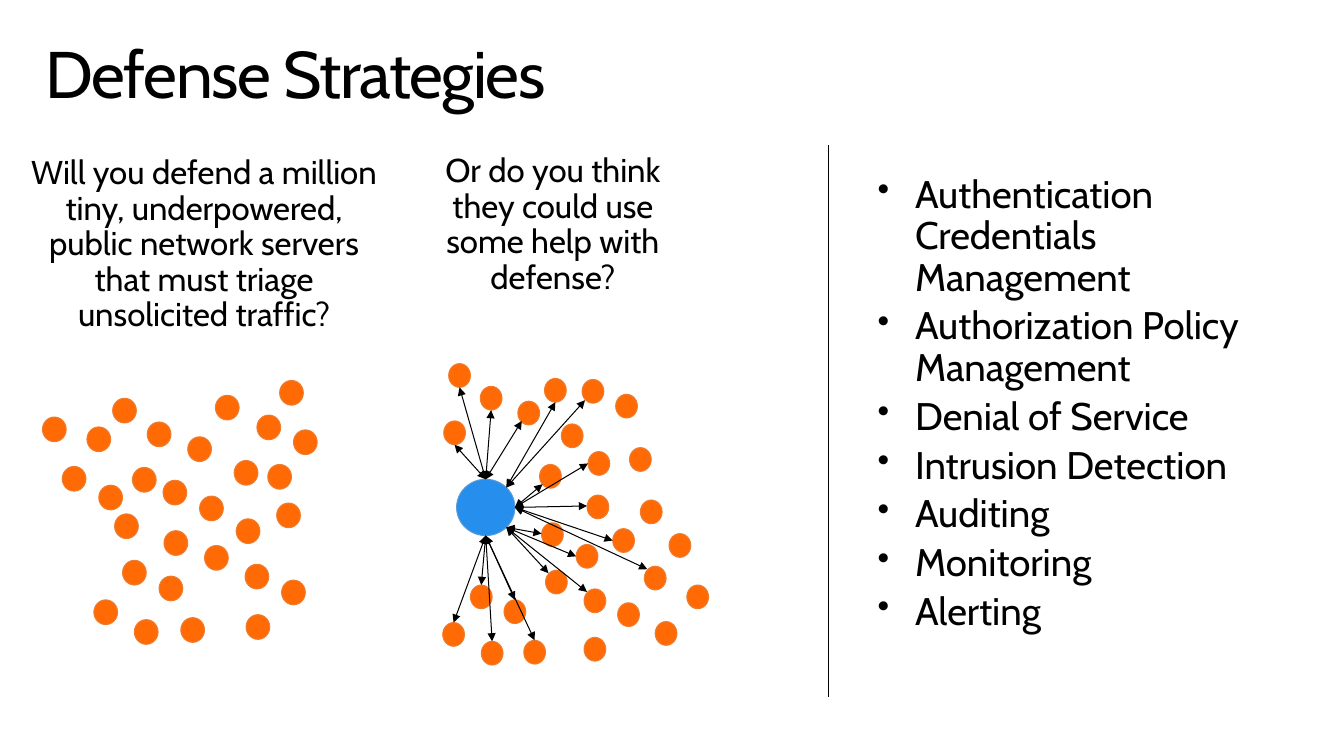
from math import cos, radians, sin
from typing import NamedTuple

from lxml import etree
from pptx import Presentation
from pptx import util as u
from pptx.dml.color import RGBColor
from pptx.enum import shapes, text
from pptx.oxml import ns

COLOURS = {"ink": "000000", "server": "FF6A05", "server edge": "ED7D31",
           "hub": "268FEE", "hub edge": "5B9BD5"}
FONT = "Cabin"
LINE_WIDTH = u.Pt(0.75)


class Disc(NamedTuple):
    left: float
    top: float
    width: float
    height: float
    kind: str = "server"


class Block(NamedTuple):
    left: float
    top: float
    width: float
    height: float
    lines: list[str]
    size: float
    inset: tuple[float, float]
    align: text.PP_ALIGN = text.PP_ALIGN.LEFT
    grows: bool = True
    bulleted: bool = False
    before: float = 0
    after: float = 0
    tracking: int = 0


class Line(NamedTuple):
    start: tuple[float, float]
    end: tuple[float, float]
    arrows: bool = False


TITLE = Block(0.3, 0.32, 13, 1, ["Defense Strategies"], 48, (0.16, 0.1),
              grows=False, tracking=-100)
TOPICS = Block(8.72, 1.67, 4.59, 5.01, [
    "Authentication Credentials Management", "Authorization Policy Management",
    "Denial of Service", "Intrusion Detection", "Auditing", "Monitoring", "Alerting",
], 28, (0.16, 0.1), bulleted=True, before=5.3)
QUESTIONS = [
    Block(0.11, 1.42, 3.91, 2.14,
          ["Will you defend a million tiny, underpowered, public network servers "
           "that must triage unsolicited traffic?"],
          24, (0.2, 0.16), text.PP_ALIGN.CENTER, after=6),
    Block(4.06, 1.4, 3.07, 1.78,
          ["Or do you think they could use some help with defense?"],
          24, (0.2, 0.16), text.PP_ALIGN.CENTER, after=6),
]

# Top left corners of the servers
LONE_SERVERS = [
    (0.43, 4.22), (0.63, 4.72), (1.14, 4.03), (1.49, 4.27), (1.34, 4.73), (1.65, 4.86),
    (0.88, 4.32), (1, 4.91), (1.9, 4.42), (2.02, 5.02), (1.66, 5.37), (2.83, 3.85),
    (2.18, 4), (2.6, 4.2), (2.71, 4.7), (2.97, 4.35), (2.37, 4.66), (2.39, 5.25),
    (2.07, 5.52), (2.48, 5.71), (2.8, 5.09), (2.85, 5.87), (2.49, 6.22), (1.24, 5.67),
    (0.95, 6.07), (1.36, 6.27), (1.61, 5.83), (1.83, 6.25), (1.16, 5.2),
]
HELPED_SERVERS = [
    (6.52, 5.73), (6.95, 5.92), (4.54, 3.68), (4.86, 3.91), (5.95, 4.57), (5.94, 5.01),
    (6.48, 5.06), (6.77, 5.4), (5.24, 4.06), (5.48, 5.29), (5.46, 4.7), (6.37, 4.53),
    (5.51, 3.83), (5.89, 3.84), (6.63, 6.29), (6.23, 3.99), (5.68, 4.29), (5.83, 5.51),
    (5.52, 5.77), (5.91, 5.96), (6.2, 5.35), (6.25, 6.1), (5.91, 6.45), (4.76, 5.92),
    (4.48, 6.3), (4.87, 6.49), (5.1, 6.07), (5.3, 6.48), (4.49, 4.26),
]
HUB = Disc(4.62, 4.85, 0.59, 0.57, "hub")

# Server ends of the arrows, by the angle at which they meet the hub
ARROWS = {
    -90: [(4.6, 4.5), (4.65, 3.92), (4.97, 4.15), (5.28, 4.26)],
    -45: [(5.62, 4.07), (5.92, 4.05)],
    0: [(5.49, 4.9), (5.94, 5.12), (5.95, 4.69), (6.2, 5.47), (6.55, 5.76)],
    45: [(5.55, 5.8), (5.48, 5.4), (5.83, 5.63), (5.94, 5.99)],
    90: [(4.87, 5.92), (5.21, 6.07), (4.59, 6.3), (4.98, 6.49), (5.41, 6.48)],
}


def colour(name: str) -> RGBColor:
    return RGBColor.from_string(COLOURS[name])


def hub_point(angle: float) -> tuple[float, float]:
    return (HUB.left + HUB.width / 2 * (1 + cos(radians(angle))),
            HUB.top + HUB.height / 2 * (1 + sin(radians(angle))))


def add_block(page, block: Block) -> None:
    box = page.shapes.add_textbox(*map(u.Inches, block[:4]))
    frame = box.text_frame
    frame.text = "\n".join(block.lines)
    frame.word_wrap = True
    fit = text.MSO_AUTO_SIZE
    frame.auto_size = fit.SHAPE_TO_FIT_TEXT if block.grows else fit.NONE
    frame.margin_left = frame.margin_right = u.Inches(block.inset[0])
    frame.margin_top = frame.margin_bottom = u.Inches(block.inset[1])
    for index, para in enumerate(frame.paragraphs):
        if block.bulleted:
            add_bullet(para)
        para.alignment = block.align
        para.line_spacing = 0.9
        if index and block.before:
            para.space_before = u.Pt(block.before)
        if block.after:
            para.space_after = u.Pt(block.after)
        for span in para.runs:
            span.font.name = FONT
            span.font.size = u.Pt(block.size)
            span.font.color.rgb = colour("ink")
            if block.tracking:
                span.font._element.set("spc", str(block.tracking))


def add_bullet(para) -> None:
    props = para._p.get_or_add_pPr()
    indent = u.Inches(0.38)
    props.set("marL", str(indent))
    props.set("indent", str(-indent))
    etree.SubElement(props, ns.qn("a:buSzPct"), val="90000")
    etree.SubElement(props, ns.qn("a:buChar"), char="•")


def add_disc(group, disc: Disc) -> None:
    oval = group.shapes.add_shape(shapes.MSO_SHAPE.OVAL, *map(u.Inches, disc[:4]))
    oval.shadow.inherit = False
    oval.fill.solid()
    oval.fill.fore_color.rgb = colour(disc.kind)
    oval.line.color.rgb = colour(f"{disc.kind} edge")
    oval.line.width = LINE_WIDTH


def add_line(parent, line: Line) -> None:
    connector = parent.shapes.add_connector(
        shapes.MSO_CONNECTOR.STRAIGHT, *map(u.Inches, line.start + line.end))
    connector.line.color.rgb = colour("ink")
    connector.line.width = LINE_WIDTH
    if line.arrows:
        outline = connector.line._get_or_add_ln()
        for end in ("a:headEnd", "a:tailEnd"):
            etree.SubElement(outline, ns.qn(end), type="triangle")
    etree.SubElement(connector._element.spPr, ns.qn("a:effectLst"))


def main() -> None:
    deck = Presentation()
    deck.slide_width, deck.slide_height = u.Inches(13.6), u.Inches(7.65)
    page = deck.slides.add_slide(deck.slide_layouts[6])

    # Topics and title
    add_block(page, TOPICS)
    add_block(page, TITLE)

    # Servers on their own
    lone = page.shapes.add_group_shape()
    for left, top in LONE_SERVERS:
        add_disc(lone, Disc(left, top, 0.24, 0.25))

    # Questions above the two networks
    for question in QUESTIONS:
        add_block(page, question)

    # Servers helped by a hub
    helped = page.shapes.add_group_shape()
    for left, top in HELPED_SERVERS:
        add_disc(helped, Disc(left, top, 0.22, 0.24))
    add_disc(helped, HUB)
    for angle, server_ends in ARROWS.items():
        for server_end in server_ends:
            add_line(helped, Line(server_end, hub_point(angle), arrows=True))

    # Divider
    add_line(page, Line((8.38, 1.47), (8.38, 7.05)))

    deck.save("out.pptx")


if __name__ == "__main__":
    main()
